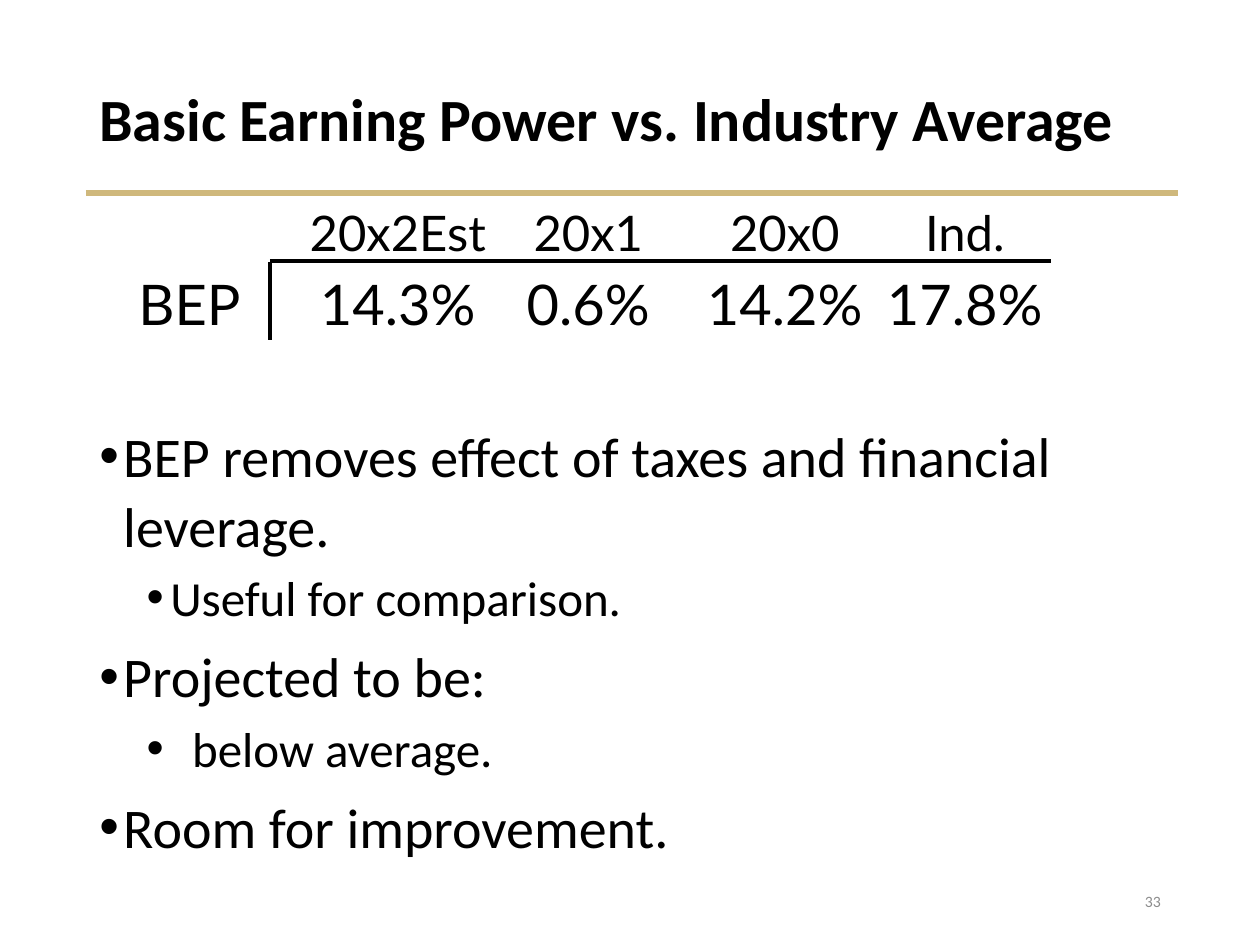
"""Build the slide comparing basic earning power with the industry average."""
from lxml import etree
from pptx import Presentation
from pptx import util as u
from pptx.dml.color import RGBColor
from pptx.enum import shapes, text
from pptx.oxml.ns import qn

BLACK = RGBColor(0x00, 0x00, 0x00)
GRAY = RGBColor(0x8C, 0x8C, 0x8C)
GOLD = RGBColor(0xCF, 0xB8, 0x7C)


def write(par, words, size=32, face="Calibri", color=BLACK, bold=False,
          align=text.PP_ALIGN.LEFT, gap=1.0, before=0):
    par.alignment = align
    par.line_spacing = gap
    par.space_before = u.Pt(before)
    run = par.add_run()
    run.text = words
    font = run.font
    font.size, font.name, font.bold = u.Pt(size), face, bold
    font.color.rgb = color


def draw(x1, y1, x2, y2, color, width):
    line = slide.shapes.add_connector(
        shapes.MSO_CONNECTOR.STRAIGHT, u.Cm(x1), u.Cm(y1), u.Cm(x2), u.Cm(y2))
    line.line.color.rgb = color
    line.line.width = u.Pt(width)
    etree.SubElement(line._element.spPr, qn("a:effectLst"))


deck = Presentation()
deck.slide_width, deck.slide_height = u.Cm(25.4), u.Cm(19.05)
slide = deck.slides.add_slide(deck.slide_layouts[1])

draw(1.73, 3.89, 23.75, 3.89, GOLD, 3)

page = slide.shapes.add_textbox(u.Cm(17.93), u.Cm(17.65), u.Cm(5.72), u.Cm(1.02))
page.text_frame.word_wrap = True
page.text_frame.vertical_anchor = text.MSO_ANCHOR.MIDDLE
write(page.text_frame.paragraphs[0], "33", size=9, color=GRAY,
      align=text.PP_ALIGN.RIGHT)

title = slide.shapes.title
title.left, title.top = u.Cm(1.75), u.Cm(1.02)
title.width, title.height = u.Cm(21.89), u.Cm(2.87)
title.text_frame.auto_size = text.MSO_AUTO_SIZE.NONE
title.text_frame.vertical_anchor = text.MSO_ANCHOR.MIDDLE
write(title.text_frame.paragraphs[0], "Basic Earning Power vs. Industry Average",
      size=34.2, bold=True, gap=0.9)

body = slide.placeholders[1]
body.left, body.top = u.Cm(1.75), u.Cm(8.31)
body.width, body.height = u.Cm(23.14), u.Cm(9.73)
frame = body.text_frame
frame.auto_size = text.MSO_AUTO_SIZE.NONE
points = [
    ("BEP removes effect of taxes and financial leverage.", 0, 0.48),
    ("Useful for comparison.", 1, 0.48),
    ("Projected to be:", 0, 0.48),
    ("below average.", 1, 0.92),
    ("Room for improvement.", 0, 0.48),
]
for i, (words, level, hang) in enumerate(points):
    par = frame.add_paragraph() if i else frame.paragraphs[0]
    par.level = level
    props = par._p.get_or_add_pPr()
    props.set("marL", str(u.Cm(0.95 * level + hang)))
    props.set("indent", str(-u.Cm(hang)))
    etree.SubElement(props, qn("a:buFont"), typeface="Arial")
    etree.SubElement(props, qn("a:buChar"), char="•")
    before = (3.8 if level else 7.5) if i else 0
    write(par, words, size=28 if level else 32, gap=1.04, before=before)

grid = slide.shapes.add_textbox(u.Cm(2.54), u.Cm(3.68), u.Cm(19.35), u.Cm(3.23))
frame = grid.text_frame
frame.word_wrap = True
rows = [
    [("\t", 32), ("20x2Est\t20x1\t20x0\tInd.", 28)],
    [("BEP\t14.3%\t0.6%\t14.2%\t17.8%", 32)],
]
for i, row in enumerate(rows):
    par = frame.add_paragraph() if i else frame.paragraphs[0]
    tabs = etree.SubElement(par._p.get_or_add_pPr(), qn("a:tabLst"))
    for stop in (5.23, 9.07, 13.03, 16.66):
        etree.SubElement(tabs, qn("a:tab"), pos=str(u.Cm(stop)), algn="ctr")
    for words, size in row:
        write(par, words, size=size, face="Lato", gap=1.1)

draw(5.44, 5.26, 21.18, 5.26, BLACK, 2)
draw(5.44, 5.28, 5.44, 6.86, BLACK, 2)

deck.save("out.pptx")
